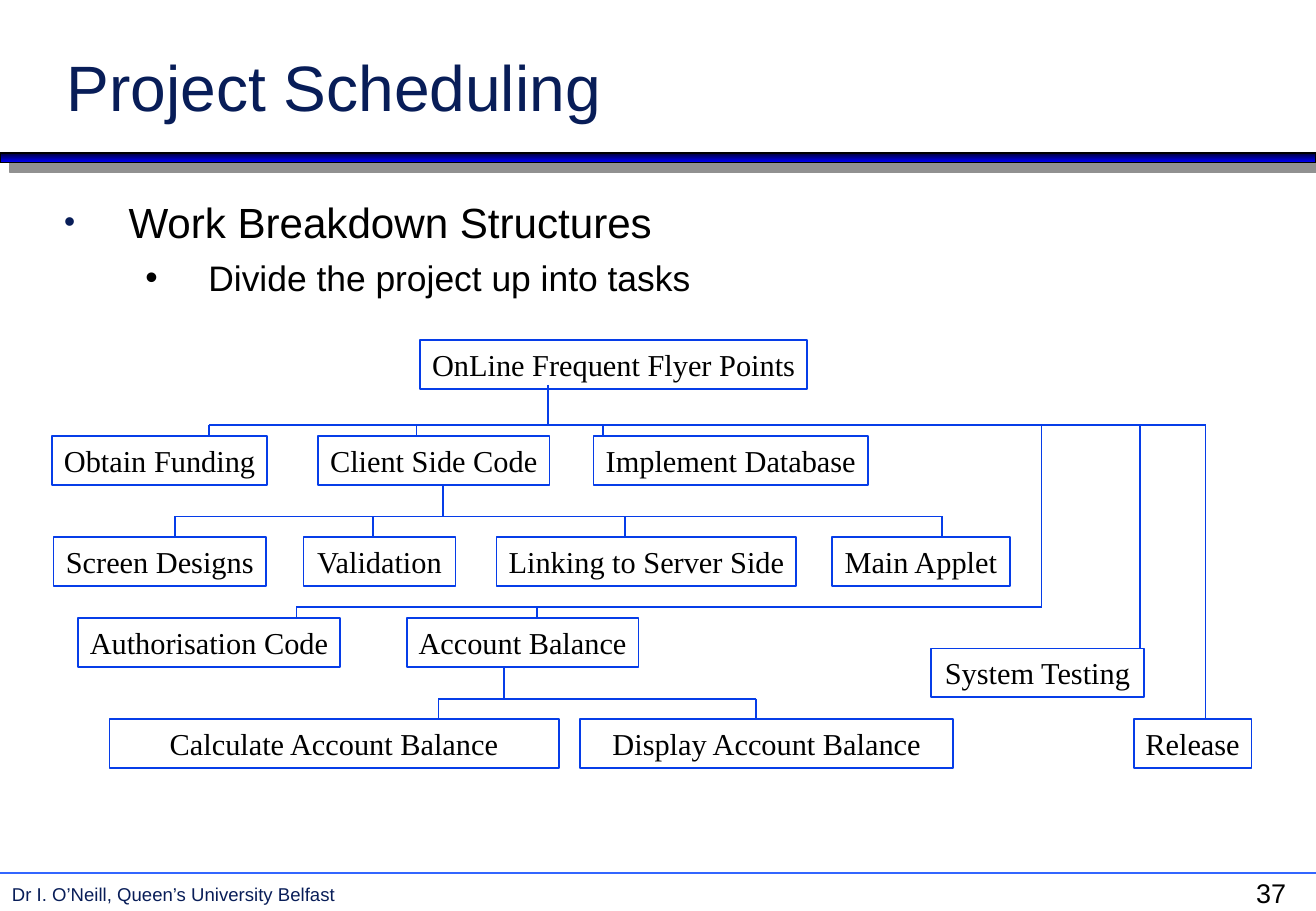
from lxml.etree import SubElement
from pptx import Presentation
from pptx.dml.color import RGBColor
from pptx.enum.shapes import MSO_CONNECTOR as Connector, MSO_SHAPE as Shape
from pptx.enum.text import MSO_ANCHOR as Anchor, PP_ALIGN as Align
from pptx.oxml.ns import qn
from pptx.util import Cm, Pt

WIDTH, HEIGHT = 27.53, 19.05
NAVY, BLACK, TREE_BLUE = "081D58", "000000", "063DE8"
BOX_HEIGHT = 1.02
ROOT, STAGES, CLIENT, DATABASE, TESTING, DETAIL = 0, 2.01, 4.12, 5.82, 6.45, 7.93

TASKS = [
    ("OnLine Frequent Flyer Points", 7.7, ROOT, 8.1),
    ("Obtain Funding", 0, STAGES, 4.5),
    ("Client Side Code", 5.56, STAGES, 4.85),
    ("Implement Database", 11.33, STAGES, 5.74),
    ("Screen Designs", 0.03, CLIENT, 4.45),
    ("Validation", 5.26, CLIENT, 3.18),
    ("Linking to Server Side", 9.3, CLIENT, 6.27),
    ("Main Applet", 16.31, CLIENT, 3.73),
    ("Authorisation Code", 0.54, DATABASE, 5.49),
    ("Account Balance", 7.42, DATABASE, 4.85),
    ("System Testing", 18.39, TESTING, 4.45),
    ("Calculate Account Balance", 1.2, DETAIL, 9.4),
    ("Display Account Balance", 11.05, DETAIL, 7.8),
    ("Release", 22.63, DETAIL, 2.46),
]

# stem x, stem top, bar y, drops as (x, row)
BRANCHES = [
    (10.37, 0.94, 1.78, [(3.28, STAGES), (7.62, STAGES), (11.53, STAGES),
                         (22.76, TESTING), (24.13, DETAIL)]),
    (8.18, 3.03, 3.69, [(x, CLIENT) for x in (2.57, 6.71, 11.99, 18.62)]),
    (20.7, 1.78, 5.59, [(5.11, DATABASE), (10.14, DATABASE)]),
    (9.45, 6.86, 7.5, [(8.08, DETAIL), (14.73, DETAIL)]),
]


def color(value):
    return RGBColor.from_string(value)


def style(paragraph, size, name, value):
    paragraph.font.size = Pt(size)
    paragraph.font.name = name
    paragraph.font.color.rgb = color(value)


def add_text(slide, box, text, size, value, anchor=Anchor.TOP):
    frame = slide.shapes.add_textbox(*map(Cm, box)).text_frame
    frame.word_wrap = True
    frame.vertical_anchor = anchor
    frame.text = text
    style(frame.paragraphs[0], size, "Arial", value)
    return frame


def add_line(slide, x1, y1, x2, y2, value):
    line = slide.shapes.add_connector(Connector.STRAIGHT, *map(Cm, (x1, y1, x2, y2)))
    line.line.color.rgb = color(value)
    line.line.width = Pt(1)
    SubElement(line.element.spPr, qn("a:effectLst"))


def add_rectangle(slide, box, value):
    shape = slide.shapes.add_shape(Shape.RECTANGLE, *map(Cm, box))
    shape.line.color.rgb = color(value)
    shape.line.width = Pt(1)
    shape.shadow.inherit = False
    return shape


def add_bullet(paragraph, margin, indent, value, percent):
    properties = paragraph._p.get_or_add_pPr()
    properties.set("marL", str(Cm(margin)))
    properties.set("indent", str(Cm(indent)))
    bullet_color = SubElement(properties, qn("a:buClr"))
    SubElement(bullet_color, qn("a:srgbClr"), val=value)
    SubElement(properties, qn("a:buSzPct"), val=str(percent * 1000))
    SubElement(properties, qn("a:buFont"), typeface="Arial")
    SubElement(properties, qn("a:buChar"), char="•")


def add_header(slide, left, top, width):
    add_text(slide, (left + 1.14, top + 0.74, 23.5, 1.98), "Project Scheduling",
             38, NAVY, Anchor.BOTTOM)
    bar = add_rectangle(slide, (left, top + 3.2, width, 0.2), BLACK)
    bar.fill.gradient()
    bar.fill.gradient_angle = 270
    for stop, value in zip(bar.fill.gradient_stops, ("000036", "0000FF")):
        stop.color.rgb = color(value)
    effects = bar.element.spPr.find(qn("a:effectLst"))
    shadow = SubElement(effects, qn("a:outerShdw"), dist=str(Pt(8.5)),
                        dir="2700000", algn="ctr", rotWithShape="0")
    SubElement(shadow, qn("a:srgbClr"), val="919191")


def add_body(slide, left, top, width, height):
    frame = add_text(slide, (left, top, width, height), "Work Breakdown Structures",
                     25, BLACK)
    topic, detail = frame.paragraphs[0], frame.add_paragraph()
    add_bullet(topic, 1.35, -1.35, NAVY, 75)
    topic.space_before = Pt(6.2)
    detail.text = "Divide the project up into tasks"
    detail.level = 1
    add_bullet(detail, 3.02, -1.32, BLACK, 100)
    detail.space_before = Pt(5.2)
    style(detail, 21, "Arial", BLACK)


def add_task(slide, text, left, top, width):
    shape = add_rectangle(slide, (left, top, width, BOX_HEIGHT), TREE_BLUE)
    shape.fill.background()
    frame = shape.text_frame
    frame.word_wrap = False
    frame.vertical_anchor = Anchor.MIDDLE
    frame.text = text
    paragraph = frame.paragraphs[0]
    paragraph.alignment = Align.CENTER
    style(paragraph, 18, "Times New Roman", BLACK)


def add_breakdown(slide, left, top):
    for text, x, y, width in TASKS:
        add_task(slide, text, left + x, top + y, width)
    for stem, start, bar, drops in BRANCHES:
        ends = [stem] + [x for x, row in drops]
        lines = [(stem, start, stem, bar), (min(ends), bar, max(ends), bar)]
        lines += [(x, bar, x, row) for x, row in drops]
        for x1, y1, x2, y2 in lines:
            add_line(slide, left + x1, top + y1, left + x2, top + y2, TREE_BLUE)


def add_footer(slide, left, top, width):
    add_line(slide, left, top + 0.05, left + width, top + 0.05, "3366FF")
    add_text(slide, (left, top + 0.13, 25.35, 0.74),
             "Dr I. O’Neill, Queen’s University Belfast", 11, NAVY)
    add_text(slide, (left + 26.03, top, 1.5, 0.94), "37", 16, BLACK)


def main():
    presentation = Presentation()
    presentation.slide_width, presentation.slide_height = Cm(WIDTH), Cm(HEIGHT)
    slide = presentation.slides.add_slide(presentation.slide_layouts[6])
    add_header(slide, 0, 0, WIDTH)
    add_body(slide, 1.09, 3.99, 25.37, 3.1)
    add_breakdown(slide, 1.09, 7.11)
    add_footer(slide, 0, 18.21, WIDTH)
    presentation.save("out.pptx")


if __name__ == "__main__":
    main()
